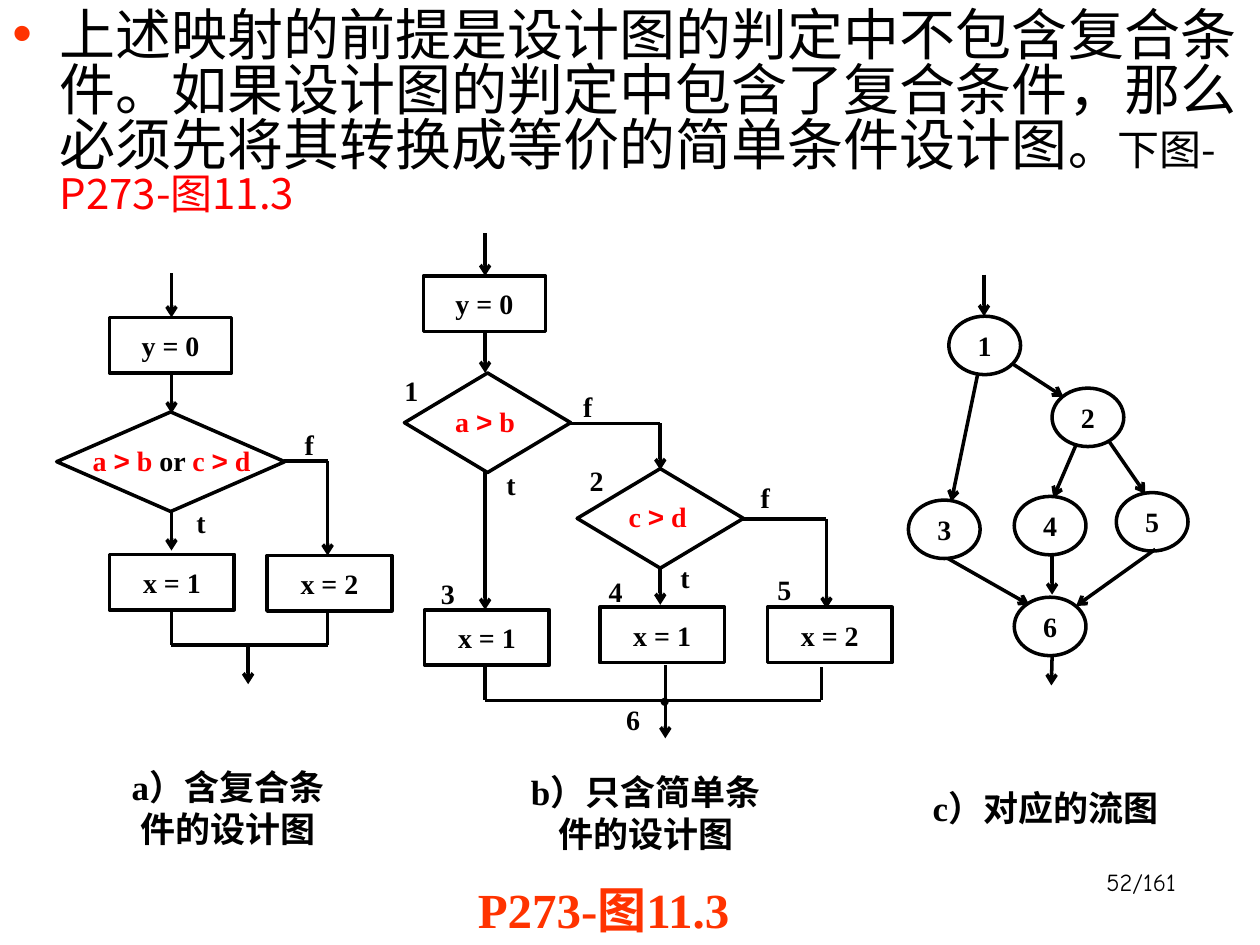
import dataclasses

import lxml.etree
import pptx
import pptx.dml.color
import pptx.enum.shapes
import pptx.enum.text
import pptx.oxml.ns
import pptx.util

Pt = pptx.util.Pt
RGB = pptx.dml.color.RGBColor.from_string
SHAPE = pptx.enum.shapes.MSO_SHAPE
ALIGN = pptx.enum.text.PP_ALIGN
ANCHOR = pptx.enum.text.MSO_ANCHOR


@dataclasses.dataclass(frozen=True)
class Theme:
    black: str = "000000"
    white: str = "FFFFFF"
    red: str = "FF0000"
    orange: str = "FF3300"
    serif: str = "Times New Roman"
    sans: str = "Arial"
    cjk: str = "Noto Sans CJK SC"
    hand: str = "Comic Neue"
    body: int = 32
    stop: int = 28
    note: int = 24
    figure: int = 28
    caption: int = 20
    label: int = 16
    page: int = 14
    stroke: int = 2


THEME = Theme()


# Formatting helpers
def apply(target, formats):
    for name, value in formats.items():
        setattr(target, name, value)


def add_xml(parent, tag, **attributes):
    return lxml.etree.SubElement(parent, pptx.oxml.ns.qn(tag), attributes)


def add_run(paragraph, text, size, color=THEME.black, font=THEME.serif, bold=True):
    run = paragraph.add_run()
    run.text = text
    apply(run.font, {"size": Pt(size), "bold": bold, "name": font})
    run.font.color.rgb = RGB(color)
    add_xml(run.font._element, "a:ea", typeface=THEME.cjk)


def write(shape, runs, size, align=ALIGN.CENTER, anchor=ANCHOR.MIDDLE):
    """Fill a shape with one paragraph; runs are (text, color, font)."""
    frame = shape.text_frame
    apply(frame, {
        "word_wrap": True, "vertical_anchor": anchor,
        "margin_left": Pt(7.2), "margin_right": Pt(7.2),
        "margin_top": Pt(3.6), "margin_bottom": Pt(3.6),
    })
    paragraph = frame.paragraphs[0]
    paragraph.alignment = align
    for run in runs:
        add_run(paragraph, run[0], size, *run[1:])
    return paragraph


# Kinds of element
def add_label(shapes, runs, left, top, width=29.5, height=29.5, size=THEME.label):
    box = shapes.add_textbox(Pt(left), Pt(top), Pt(width), Pt(height))
    return write(box, runs, size)


def add_outline(shapes, kind, left, top, width, height, filled=False):
    outline = shapes.add_shape(kind, Pt(left), Pt(top), Pt(width), Pt(height))
    outline.shadow.inherit = False
    if filled:
        outline.fill.solid()
        outline.fill.fore_color.rgb = RGB(THEME.white)
    else:
        outline.fill.background()
    outline.line.color.rgb = RGB(THEME.black)
    outline.line.width = Pt(THEME.stroke)
    return outline


def add_step(shapes, text, left, top, filled=False):
    width = 69.8 if filled else 71.3
    step = add_outline(shapes, SHAPE.RECTANGLE, left, top, width, 31.7, filled)
    write(step, [(text,)], THEME.label)


def add_node(shapes, text, left, top):
    node = add_outline(shapes, SHAPE.OVAL, left, top, 41, 33.4, filled=True)
    write(node, [(text,)], THEME.label)


def add_decision(shapes, runs, left, top, width, label_width):
    height, label_height = 56.9, 30.2
    add_outline(shapes, SHAPE.DIAMOND, left, top, width, height)
    add_label(shapes, runs, left + (width - label_width) / 2 + 0.5,
              top + (height - label_height) / 2 - 1, label_width, label_height)


def add_route(shapes, *points, arrow=True):
    """Join the points by straight lines, with an arrowhead on the last."""
    for start, end in zip(points, points[1:]):
        leg = shapes.add_connector(pptx.enum.shapes.MSO_CONNECTOR.STRAIGHT,
                                   *map(Pt, start + end))
        leg.line.color.rgb = RGB(THEME.black)
        leg.line.width = Pt(THEME.stroke)
        if arrow and end == points[-1]:
            add_xml(leg.line._get_or_add_ln(), "a:tailEnd", type="arrow")
        add_xml(leg._element.spPr, "a:effectLst")


def comparison(left, right):
    return [(left + " ", THEME.red), (">", THEME.red, THEME.sans), (" " + right, THEME.red)]


# Parts of the slide
def add_statement(slide):
    box = slide.shapes.add_textbox(0, Pt(3), Pt(720), Pt(537))
    paragraph = write(box, [], THEME.body, ALIGN.LEFT, ANCHOR.TOP)
    paragraph.line_spacing = 0.82
    properties = paragraph._p.get_or_add_pPr()
    properties.set("marL", str(Pt(27)))
    properties.set("indent", str(-Pt(27)))
    add_xml(add_xml(properties, "a:buClr"), "a:srgbClr", val=THEME.orange)
    add_xml(properties, "a:buFont", typeface=THEME.sans)
    add_xml(properties, "a:buChar", char="•")
    for text, size, color in (
        ("上述映射的前提是设计图的判定中不包含复合条件。如果设计图的判定中包含了复合条件，"
         "那么必须先将其转换成等价的简单条件设计图", THEME.body, THEME.black),
        ("。", THEME.stop, THEME.black),
        ("下图-", THEME.note, THEME.black),
        ("P273-图11.3", THEME.note, THEME.red),
    ):
        add_run(paragraph, text, size, color, THEME.cjk, bold=False)


def add_flow_graph(shapes):
    for text, left, top in (("1", 542.2, 180.7), ("2", 601.2, 221.8), ("3", 519.1, 285.8),
                            ("4", 579.6, 283.7), ("5", 637.9, 281.5), ("6", 579.6, 341.3)):
        add_node(shapes, text, left, top)
    for start, end in (
        ((562.3, 157), (562.3, 180.7)), ((578.9, 208.1), (607.7, 226.8)),
        ((558.7, 213.8), (543.6, 286.6)), ((614.9, 254.2), (601.9, 284.4)),
        ((633.6, 252), (654.5, 282.2)), ((601.2, 316.8), (601.2, 339.8)),
        ((541.4, 319), (588.2, 345.6)), ((660.2, 313.9), (614.9, 346.3)),
        ((601.2, 375.1), (600.8, 391.7)),
    ):
        add_route(shapes, start, end)
    add_label(shapes, [("c）对应的流图",)], 522, 436.3, 151.2, 50.4, THEME.caption)


def add_compound_design(shapes):
    trunk, branch, merge = 98, 187.2, 368.6
    add_step(shapes, "y = 0", 62.6, 181.4, filled=True)
    condition = comparison("a", "b ") + [("or ",)] + comparison("c", "d")
    add_decision(shapes, condition, 32.4, 235.4, 130.3, 111.6)
    add_step(shapes, "x = 1", 62.6, 316.8)
    add_step(shapes, "x = 2", 152.6, 317.5)
    for top, bottom in ((156.2, 181.4), (213.8, 236.2), (292.3, 314.6)):
        add_route(shapes, (trunk, top), (trunk, bottom))
    add_route(shapes, (162, 263.5), (branch, 263.5), (branch, 317.5))
    add_route(shapes, (trunk, 348.5), (trunk, merge), (branch, merge), (branch, 349.2),
              arrow=False)
    add_route(shapes, (141.8, merge), (141.8, 391))
    add_label(shapes, [("t",)], 100.1, 283.7)
    add_label(shapes, [("f",)], 162, 239)
    add_label(shapes, [("a）含复合条件的设计图",)], 65.5, 436.3, 129.6, 50.4, THEME.caption)


def add_simple_design(shapes):
    trunk, second, third, merge, out = 277.2, 377.3, 472.3, 400.3, 380.2
    add_step(shapes, "y = 0", 241.9, 157.7, filled=True)
    add_decision(shapes, comparison("a", "b "), 231.1, 213.1, 95, 58.3)
    add_decision(shapes, comparison("c", "d "), 329.8, 267.8, 95, 58.3)
    for text, left, top in (("x = 1", 242.6, 348.5), ("x = 1", 342.7, 347), ("x = 2", 438.5, 347)):
        add_step(shapes, text, left, top)
    for x, top, bottom in ((trunk, 133.2, 157.7), (trunk, 190.1, 213.1), (trunk, 268.6, 348.5),
                           (second, 324, 345.6), (out, 380.2, 421.9)):
        add_route(shapes, (x, top), (x, bottom))
    add_route(shapes, (325.4, 241.9), (second, 241.9), (second, 268.6))
    add_route(shapes, (422.6, 296.6), (third, 296.6), (third, 347.8))
    add_route(shapes, (trunk, 380.2), (trunk, merge), (469.4, merge), (469.4, 380.9),
              arrow=False)
    add_label(shapes, [("•", THEME.black, THEME.sans)], 363.6, 385.2, 32.4)
    for text, left, top in (
        ("t", 277.2, 262.1), ("t", 376.6, 315.4), ("f", 321.1, 217.4), ("f", 422.6, 269.3),
        ("1", 220.3, 208.1), ("2", 326.2, 259.9), ("3", 241.2, 324), ("4", 337, 323.3),
        ("5", 433.4, 321.8), ("6", 347, 396),
    ):
        add_label(shapes, [(text,)], left, top)
    add_label(shapes, [("b）只含简单条件的设计图",)], 293.8, 439.2, 150.5, 50.4, THEME.caption)


def main():
    deck = pptx.Presentation()
    apply(deck, {"slide_width": Pt(720), "slide_height": Pt(540)})
    slide = deck.slides.add_slide(deck.slide_layouts[6])

    # Page number and statement
    page = slide.shapes.add_textbox(Pt(529.2), Pt(491.8), Pt(149.8), Pt(36))
    write(page, [("52/161", THEME.black, THEME.hand, False)], THEME.page,
          ALIGN.RIGHT, ANCHOR.TOP)
    add_statement(slide)

    # The three diagrams, one group each
    for add_diagram in (add_flow_graph, add_compound_design, add_simple_design):
        add_diagram(slide.shapes.add_group_shape().shapes)

    # Figure title
    title = add_label(slide.shapes, [("P273-图11.3", THEME.orange)],
                      234, 497.5, 221.8, 42.5, THEME.figure)
    title.line_spacing = 1.05
    deck.save("out.pptx")


if __name__ == "__main__":
    main()
